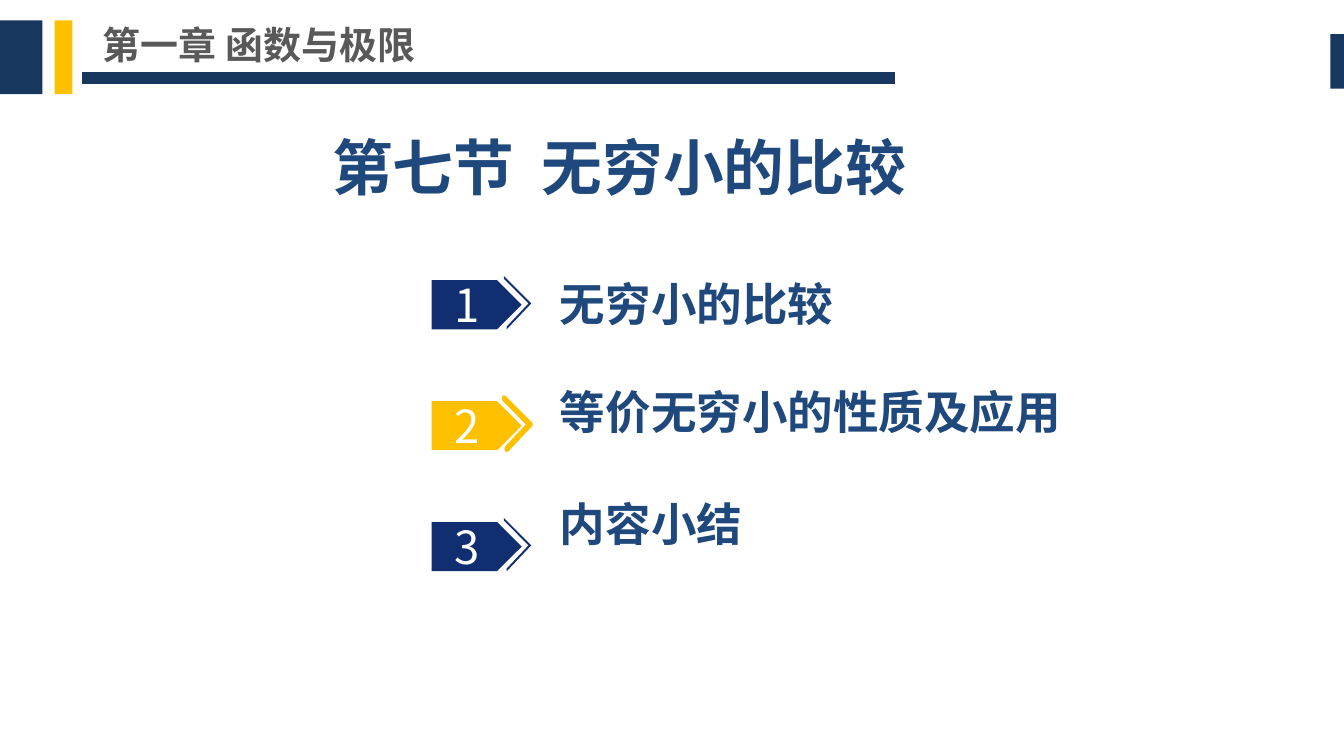
import pptx
import pptx.util
import pptx.dml.color
import pptx.enum.shapes
import pptx.enum.text
import pptx.oxml
import pptx.oxml.ns

Inches, Pt = pptx.util.Inches, pptx.util.Pt
FONT = "Noto Sans CJK SC"
BAND, GOLD, NAVY, TITLE, GREY, WHITE = (
    "17375E", "FFC000", "112F70", "1F497D", "595959", "FFFFFF")

# Each topic: wording, arrow colour, chevron outline in points, space before in points
TOPICS = [
    ("无穷小的比较", NAVY, 0, 0),
    ("等价无穷小的性质及应用", GOLD, 2, 28),
    ("内容小结", NAVY, 0, 30),
]
TOPIC_PITCH = 0.885
ARROW = [(0, 0), (0.48, 0), (0.66, 0.18), (0.48, 0.36), (0, 0.36)]
CHEVRON = [(0.53, -0.03), (0.73, 0.17), (0.55, 0.36),
           (0.55, 0.34), (0.71, 0.17), (0.53, -0.01)]


def rgb(value):
    return pptx.dml.color.RGBColor.from_string(value)


def paint(shape, fill, outline=None, width=0):
    shape.shadow.inherit = False
    shape.fill.solid()
    shape.fill.fore_color.rgb = rgb(fill)
    if width:
        shape.line.color.rgb = rgb(outline)
        shape.line.width = Pt(width)
    else:
        shape.line.fill.background()


def place(shape, left, top, width, height):
    shape.left, shape.top = Inches(left), Inches(top)
    shape.width, shape.height = Inches(width), Inches(height)


def set_frame(frame, inset_x=0.1, inset_y=0.05,
              anchor=pptx.enum.text.MSO_ANCHOR.TOP):
    frame.word_wrap = True
    frame.auto_size = pptx.enum.text.MSO_AUTO_SIZE.NONE
    frame.margin_left = frame.margin_right = Inches(inset_x)
    frame.margin_top = frame.margin_bottom = Inches(inset_y)
    frame.vertical_anchor = anchor


def write(paragraph, text, size, color, bold=True):
    run = paragraph.add_run()
    run.text = text
    run.font.name = FONT
    run.font.size = Pt(size)
    run.font.bold = bold
    run.font.color.rgb = rgb(color)
    east_asian = pptx.oxml.parse_xml(
        f'<a:ea {pptx.oxml.ns.nsdecls("a")} typeface="{FONT}"/>')
    run.font._element.find(pptx.oxml.ns.qn("a:latin")).addnext(east_asian)


def add_outline(slide, left, top, points):
    corners = [(Inches(left + x), Inches(top + y)) for x, y in points]
    builder = slide.shapes.build_freeform(*corners[0])
    builder.add_line_segments(corners[1:], close=True)
    return builder.convert_to_shape()


def add_header(slide, left, top, width):
    # Colour blocks at the two edges
    blocks = [
        (left, top, 0.31, 0.54, BAND),
        (left + 0.4, top, 0.13, 0.54, GOLD),
        (left + width - 0.1, top + 0.1, 0.1, 0.4, BAND),
    ]
    for x, y, w, h, color in blocks:
        block = slide.shapes.add_shape(
            pptx.enum.shapes.MSO_SHAPE.RECTANGLE,
            Inches(x), Inches(y), Inches(w), Inches(h))
        paint(block, color)

    # Rule under the chapter name
    rule_y = Inches(top + 0.42)
    rule = slide.shapes.add_connector(
        pptx.enum.shapes.MSO_CONNECTOR.STRAIGHT,
        Inches(left + 0.6), rule_y, Inches(left + 6.55), rule_y)
    rule.line.color.rgb = rgb(BAND)
    rule.line.width = Pt(6)
    rule._element.spPr.append(pptx.oxml.parse_xml(
        f'<a:effectLst {pptx.oxml.ns.nsdecls("a")}/>'))

    # Chapter name
    chapter = slide.shapes.add_textbox(
        Inches(left + 0.75), Inches(top + 0.01), Inches(6.25), Inches(0.33))
    set_frame(chapter.text_frame, 0, 0, pptx.enum.text.MSO_ANCHOR.MIDDLE)
    write(chapter.text_frame.paragraphs[0], "第一章 函数与极限", 20, GREY)


def add_section_title(slide, left, top, width, height):
    title = slide.shapes.title
    place(title, left, top, width, height)
    set_frame(title.text_frame)
    heading = title.text_frame.paragraphs[0]
    heading.alignment = pptx.enum.text.PP_ALIGN.CENTER
    write(heading, "第七节  无穷小的比较", 32, TITLE)


def add_number_arrow(slide, left, top, number, color, outline_width):
    chevron = add_outline(slide, left, top, CHEVRON)
    paint(chevron, NAVY, color, outline_width)
    arrow = add_outline(slide, left, top, ARROW)
    paint(arrow, color)
    numeral = slide.shapes.add_textbox(
        Inches(left + 0.07), Inches(top - 0.07), Inches(0.57), Inches(0.5))
    set_frame(numeral.text_frame)
    write(numeral.text_frame.paragraphs[0], str(number), 24, WHITE, bold=False)


def add_topics(slide, left, top, width, height):
    # Topic names
    topics = slide.placeholders[1]
    place(topics, left + 0.84, top, width - 0.84, height)
    set_frame(topics.text_frame)
    for index, (name, color, outline_width, gap) in enumerate(TOPICS):
        frame = topics.text_frame
        topic = frame.add_paragraph() if index else frame.paragraphs[0]
        properties = topic._p.get_or_add_pPr()
        properties.set("marL", "0")
        properties.set("indent", "0")
        properties.append(pptx.oxml.parse_xml(
            f'<a:buNone {pptx.oxml.ns.nsdecls("a")}/>'))
        topic.space_before = Pt(gap)
        write(topic, name, 24, TITLE)

        # Numbered arrow beside the name
        add_number_arrow(slide, left, top + 0.08 + index * TOPIC_PITCH,
                         index + 1, color, outline_width)


def main():
    deck = pptx.Presentation()
    deck.slide_width, deck.slide_height = Inches(9.84), Inches(5.51)
    slide = deck.slides.add_slide(deck.slide_layouts[1])
    add_header(slide, 0, 0.15, 9.84)
    add_section_title(slide, 1, 0.9, 7.07, 0.68)
    add_topics(slide, 3.16, 1.97, 4.8, 2.3)
    deck.save("out.pptx")


if __name__ == "__main__":
    main()
